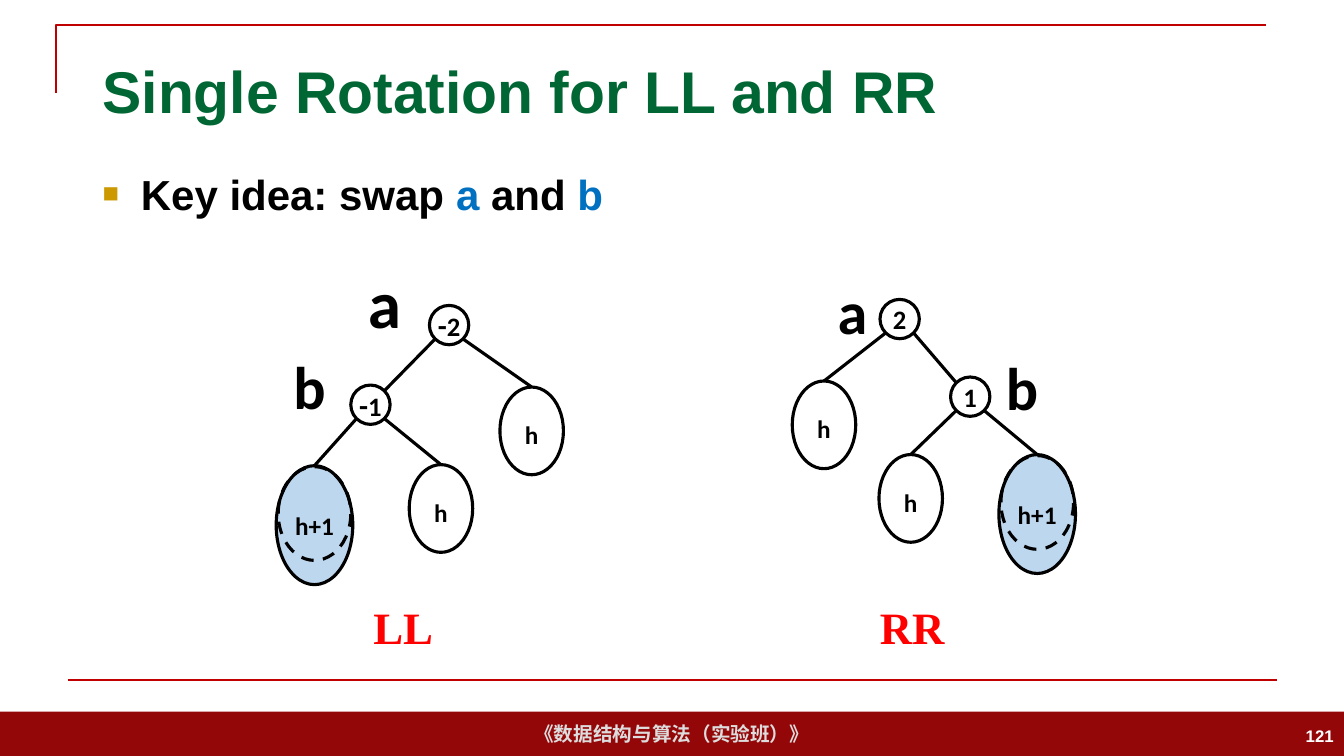
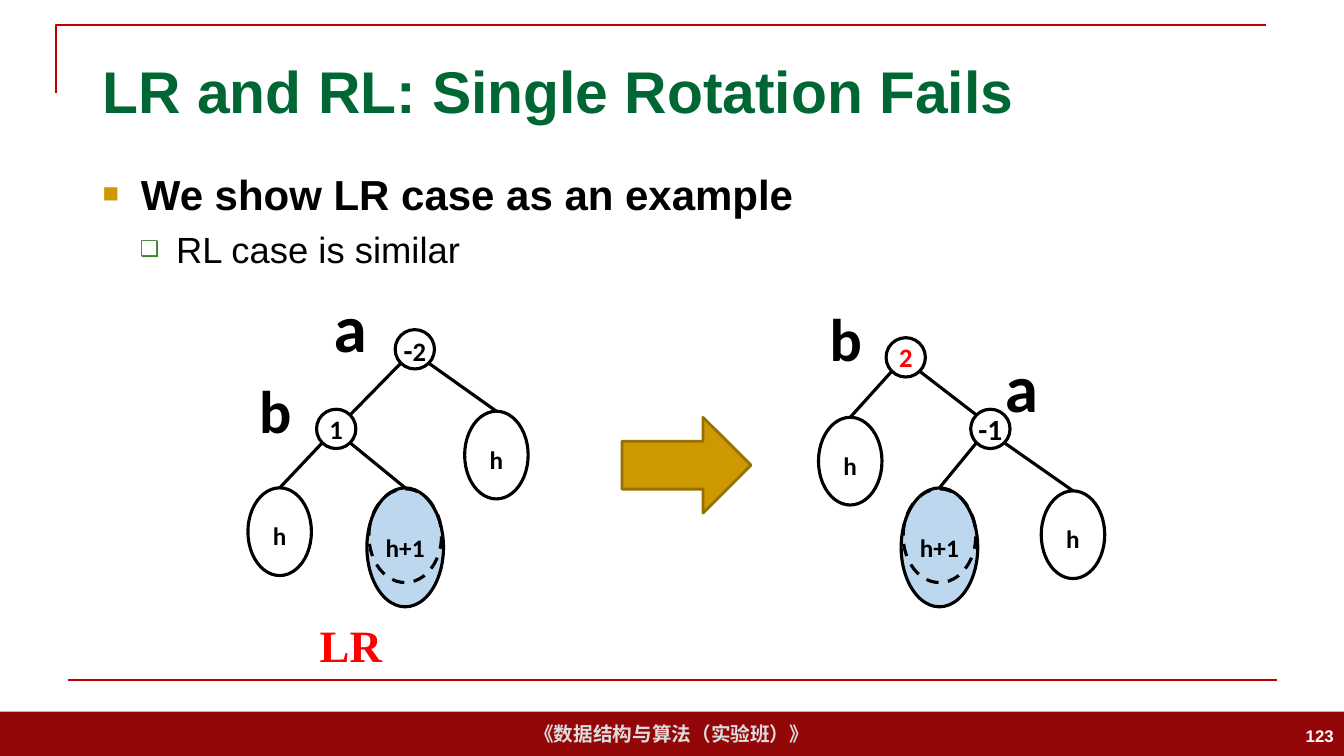
from dataclasses import dataclass

from lxml import etree
from pptx import Presentation
from pptx import util as u
from pptx.dml.color import RGBColor
from pptx.enum import dml, shapes, text
from pptx.oxml import ns

COLUMNS, ROWS = 133.33, 75
CELL = u.Inches(0.1)
DIAGONAL = 0.35  # share of a circle's diameter from its centre to a 45° point, per axis


@dataclass(frozen=True)
class Theme:
    sans: str = "Arial"
    diagram: str = "Calibri"
    serif: str = "Times New Roman"
    ink: str = "000000"
    title: str = "006633"
    accent: str = "0070C0"
    alert: str = "FF0000"
    rule: str = "C00000"
    band: str = "940709"
    band_text: str = "DDDDDD"
    page_text: str = "FFFFFF"
    grown: str = "BDD7EE"
    gold: str = "CC9900"
    gold_edge: str = "977100"
    green: str = "3B812F"
    title_size: int = 42
    point_size: int = 30
    detail_size: int = 26
    caption_size: int = 32
    minus_size: int = 21
    balance_size: int = 19
    subtree_size: int = 18
    footer_size: int = 14
    page_size: int = 12
    edge_width: float = 2.25
    rule_width: float = 1.5


def cells(*counts):
    return [round(count * CELL) for count in counts]


class Deck:
    def __init__(self, theme):
        self.theme = theme
        self.presentation = Presentation()
        self.presentation.slide_width, self.presentation.slide_height = cells(COLUMNS, ROWS)
        self.slide = None

    def start(self, title, page):
        """Add a slide with the shared frame, footer and title."""
        t = self.theme
        self.slide = self.presentation.slides.add_slide(self.presentation.slide_layouts[6])
        band = self.shape(shapes.MSO_SHAPE.RECTANGLE, 0, 70.6, COLUMNS, 4.4, fill=t.band)
        self.label(band, "《数据结构与算法（实验班）》", t.footer_size, t.sans, t.band_text)
        pen = self.slide.shapes.build_freeform(*cells(5.6, 9.2))
        pen.add_line_segments([cells(5.6, 2.5), cells(125.6, 2.5)], close=False)
        self.paint(pen.convert_to_shape(), None, t.rule, t.rule_width)
        self.line((6.7, 67.5), (126.7, 67.5), t.rule, t.rule_width)
        heading = self.box(9.2, 4, 115, 9.9)
        self.label(heading, title, t.title_size, t.sans, t.title, text.PP_ALIGN.LEFT)
        number = self.box(103.3, 71, 30, 4)
        self.label(number, page, t.page_size, t.sans, t.page_text, text.PP_ALIGN.RIGHT)

    def paint(self, shape, fill, line, width):
        shape.shadow.inherit = False
        if fill:
            shape.fill.solid()
            shape.fill.fore_color.rgb = RGBColor.from_string(fill)
        else:
            shape.fill.background()
        if line:
            shape.line.color.rgb = RGBColor.from_string(line)
            shape.line.width = u.Pt(width)
        else:
            shape.line.fill.background()

    def shape(self, kind, x, y, width, height, fill=None, line=None, weight=None):
        shape = self.slide.shapes.add_shape(kind, *cells(x, y, width, height))
        self.paint(shape, fill, line, weight or self.theme.edge_width)
        return shape

    def ellipse(self, x, y, width, height, fill=None):
        return self.shape(shapes.MSO_SHAPE.OVAL, x, y, width, height, fill, self.theme.ink)

    def line(self, start, end, color, width):
        line = self.slide.shapes.add_connector(
            shapes.MSO_CONNECTOR.STRAIGHT, *cells(*start, *end))
        line.line.color.rgb = RGBColor.from_string(color)
        line.line.width = u.Pt(width)
        etree.SubElement(line._element.spPr, ns.qn("a:effectLst"))
        return line

    def box(self, x, y, width, height, wrap=True):
        box = self.slide.shapes.add_textbox(*cells(x, y, width, height))
        box.text_frame.word_wrap = wrap
        box.text_frame.vertical_anchor = text.MSO_ANCHOR.MIDDLE
        return box

    def style(self, run, size, font, color, bold=True):
        run.font.size, run.font.name, run.font.bold = u.Pt(size), font, bold
        run.font.color.rgb = RGBColor.from_string(color)

    def label(self, shape, words, size, font, color, align=text.PP_ALIGN.CENTER):
        shape.text_frame.text = words
        paragraph = shape.text_frame.paragraphs[0]
        paragraph.alignment = align
        self.style(paragraph.runs[0], size, font, color)

    def bullet(self, paragraph, sign, color, percent, left, hang):
        props = paragraph._p.get_or_add_pPr()
        props.set("marL", str(u.Inches(left)))
        props.set("indent", str(-u.Inches(hang)))
        tint = etree.SubElement(props, ns.qn("a:buClr"))
        etree.SubElement(tint, ns.qn("a:srgbClr"), val=color)
        etree.SubElement(props, ns.qn("a:buSzPct"), val=str(percent * 1000))
        etree.SubElement(props, ns.qn("a:buFont"), typeface=self.theme.sans)
        etree.SubElement(props, ns.qn("a:buChar"), char=sign)

    def points(self, pieces, detail=None):
        """Set the main point from (words, color) pieces, and a detail below it."""
        t = self.theme
        frame = self.box(9.2, 16.2, 115, 11.3).text_frame
        frame.vertical_anchor = text.MSO_ANCHOR.TOP
        point = frame.paragraphs[0]
        self.bullet(point, "■", t.gold, 65, 0.38, 0.38)
        for words, color in pieces:
            run = point.add_run()
            run.text = words
            self.style(run, t.point_size, t.sans, color)
        if detail:
            below = frame.add_paragraph()
            below.text = detail
            below.level = 1
            self.bullet(below, "❑", t.green, 60, 0.73, 0.36)
            below.space_before = u.Pt(6)
            self.style(below.runs[0], t.detail_size, t.sans, t.ink, bold=False)

    def inscribe(self, shape, words, size, color=None, sink=0):
        """Centre words in a tree shape, lowered by a top inset of sink cells."""
        frame = shape.text_frame
        frame.word_wrap = False
        frame.vertical_anchor = text.MSO_ANCHOR.MIDDLE
        frame.margin_left = frame.margin_right = frame.margin_bottom = 0
        frame.margin_top = cells(sink)[0]
        self.label(shape, words, size, self.theme.diagram, color or self.theme.ink)

    def balance(self, factor, x, y, *children, color=None, size=None):
        """Draw a node with its balance factor and the edges to its children."""
        t = self.theme
        node = self.ellipse(x, y, 3.9, 3.9)
        self.inscribe(node, factor, size or t.balance_size, color)
        if factor.startswith("-") and not size:
            paragraph = node.text_frame.paragraphs[0]
            paragraph.runs[0].text = "-"
            paragraph.runs[0].font.size = u.Pt(t.minus_size)
            digit = paragraph.add_run()
            digit.text = factor[1:]
            self.style(digit, t.balance_size, t.diagram, color or t.ink)
        for child in children:
            self.edge(node, child)
        return node

    def edge(self, parent, child):
        def diagonal(circle, across, down):
            reach = circle.width * DIAGONAL
            return ((circle.left + circle.width / 2 + across * reach) / CELL,
                    (circle.top + circle.height / 2 + down * reach) / CELL)

        side = 1 if child.left > parent.left else -1
        line = self.line(diagonal(parent, side, 1), diagonal(child, -side, -1),
                         self.theme.ink, self.theme.edge_width)
        if child.height > child.width:
            line.end_connect(child, 0)

    def subtree(self, x, y):
        leaf = self.ellipse(x, y, 6.3, 8.7)
        self.inscribe(leaf, "h", self.theme.subtree_size, sink=0.8)
        return leaf

    def grown(self, x, y):
        """Draw a subtree of height h+1 with its former outline dashed."""
        leaf = self.ellipse(x, y, 7.6, 11.8, self.theme.grown)
        self.inscribe(leaf, "h+1", self.theme.subtree_size)
        former = self.ellipse(x + 0.2, y + 0.1, 7.2, 9.3)
        former.line.dash_style = dml.MSO_LINE.DASH
        return leaf

    def name(self, letter, x, y, size=43):
        holder = self.box(x, y, 6, size * 0.2, wrap=False)
        frame = holder.text_frame
        frame.margin_left = frame.margin_right = u.Inches(0.13)
        self.label(holder, letter, size, self.theme.diagram, self.theme.ink,
                   text.PP_ALIGN.LEFT)

    def caption(self, case, x, y):
        t = self.theme
        self.label(self.box(x, y, 9.8, 6.7), case, t.caption_size, t.serif, t.alert)

    def arrow(self, x, y, width, height):
        t = self.theme
        self.shape(shapes.MSO_SHAPE.RIGHT_ARROW, x, y, width, height, t.gold, t.gold_edge, 2)


def single_rotation(deck):
    t = deck.theme
    deck.start("Single Rotation for LL and RR", "121")
    deck.points([("Key idea: swap ", t.ink), ("a", t.accent), (" and ", t.ink), ("b", t.accent)])

    left = deck.balance("-1", 34.8, 38.2, deck.grown(27.4, 46.2), deck.subtree(40.6, 46.1))
    deck.balance("-2", 42.6, 30.3, left, deck.subtree(49.6, 38.4))
    deck.name("a", 35.2, 25.1, 48)
    deck.name("b", 27.8, 33.9)
    deck.caption("LL", 35.1, 58.8)

    right = deck.balance("1", 94.3, 37.4, deck.subtree(87.2, 45.1), deck.grown(99.1, 45.1))
    deck.balance("2", 87.3, 29.7, deck.subtree(78.6, 37.8), right)
    deck.name("a", 81.8, 26.5)
    deck.name("b", 98.5, 34)
    deck.caption("RR", 85.6, 58.8)


def failing_rotation(deck):
    t = deck.theme
    deck.start("LR and RL: Single Rotation Fails", "123")
    deck.points([("We show LR case as an example", t.ink)], "RL case is similar")

    left = deck.balance("1", 31.4, 40.6, deck.subtree(24.6, 48.4), deck.grown(36.4, 48.4))
    deck.balance("-2", 39.2, 32.7, left, deck.subtree(46.1, 40.8))
    deck.name("a", 31.8, 27.5, 48)
    deck.name("b", 24.4, 36.3)
    deck.caption("LR", 29.9, 60.6)

    deck.arrow(61.7, 41.4, 12.8, 9.5)

    right = deck.balance("-1", 96.3, 40.6, deck.grown(89.4, 48.4), deck.subtree(103.3, 48.7),
                         size=t.minus_size)
    deck.balance("2", 87.9, 33.5, deck.subtree(81.2, 41.4), right, color=t.alert)
    deck.name("b", 81, 29.2)
    deck.name("a", 98.4, 33.5, 48)


def main():
    deck = Deck(Theme())
    single_rotation(deck)
    failing_rotation(deck)
    deck.presentation.save("out.pptx")


if __name__ == "__main__":
    main()
